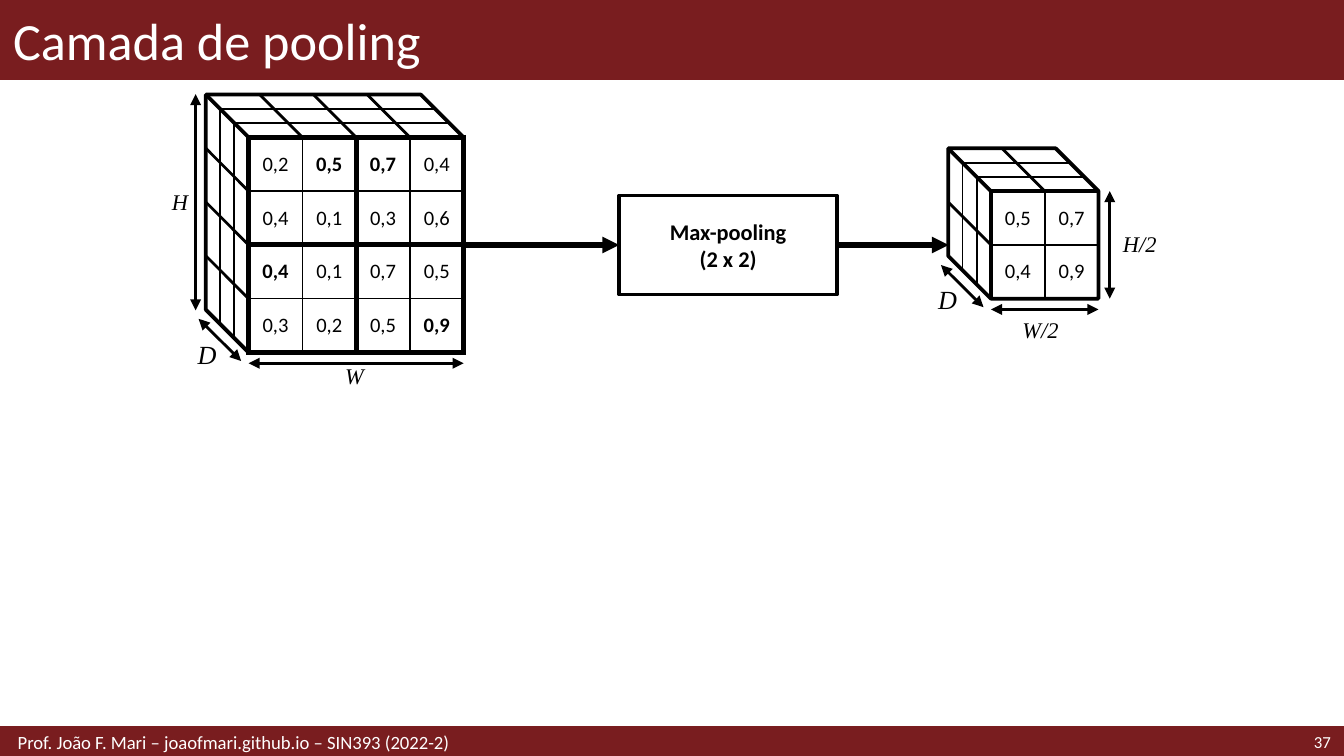
"""Build the slide on the max-pooling layer."""
from lxml import etree
from pptx import Presentation
from pptx import util as u
from pptx.dml import color
from pptx.enum import shapes, text
from pptx.oxml import ns

Pt = u.Pt
RED = color.RGBColor(0x79, 0x1D, 0x1F)
BLACK = color.RGBColor(0, 0, 0)
WHITE = color.RGBColor(255, 255, 255)
LEFT, MID, RIGHT = text.PP_ALIGN.LEFT, text.PP_ALIGN.CENTER, text.PP_ALIGN.RIGHT
TOP, CENTER = text.MSO_ANCHOR.TOP, text.MSO_ANCHOR.MIDDLE
CELL, DEPTH = 28.8, 22.9

deck = Presentation()
deck.slide_width, deck.slide_height = Pt(720), Pt(405)
slide = deck.slides.add_slide(deck.slide_layouts[6])
draw = slide.shapes


def write(frame, words, size=11, font="Calibri", ink=BLACK, bold=False,
          slant=False, align=LEFT, anchor=CENTER):
    frame.word_wrap = True
    frame.vertical_anchor = anchor
    frame.text = words
    for para in frame.paragraphs:
        para.alignment = align
        face = para.font
        face.name, face.size, face.bold, face.italic = font, Pt(size), bold, slant
        face.color.rgb = ink


def link(x1, y1, x2, y2, width=1.5, ends=()):
    line = draw.add_connector(shapes.MSO_CONNECTOR.STRAIGHT,
                              Pt(x1), Pt(y1), Pt(x2), Pt(y2))
    line.line.color.rgb = BLACK
    line.line.width = Pt(width)
    for end in ends:
        etree.SubElement(line.line._ln, ns.qn("a:" + end), type="triangle")
    etree.SubElement(line._element.spPr, ns.qn("a:effectLst"))
    return line


for y, high, edge in ((0, 42.5, 1), (390.2, 14.8, 2)):
    bar = draw.add_shape(shapes.MSO_SHAPE.RECTANGLE, 0, Pt(y), Pt(720), Pt(high))
    bar.shadow.inherit = False
    bar.fill.solid()
    bar.fill.fore_color.rgb = bar.line.color.rgb = RED
    bar.line.width = Pt(edge)

for x, y, wide, high, words, size, align, pad in (
        (0, 0, 720, 42.5, "Camada de pooling", 28, LEFT, 7.2),
        (638, 389.8, 82, 15, "37", 9, RIGHT, 7.2),
        (0, 390, 496, 15,
         "Prof. João F. Mari – joaofmari.github.io – SIN393 (2022-2)", 10, LEFT, 9.5)):
    note = draw.add_textbox(Pt(x), Pt(y), Pt(wide), Pt(high))
    note.text_frame.margin_left = Pt(pad)
    write(note.text_frame, words, size=size, ink=WHITE, align=align)

INPUT = (("0,2", "0,5", "0,7", "0,4"), ("0,4", "0,1", "0,3", "0,6"),
         ("0,4", "0,1", "0,7", "0,5"), ("0,3", "0,2", "0,5", "0,9"))
OUTPUT = (("0,5", "0,7"), ("0,4", "0,9"))
PEAKS = ((0, 1), (0, 2), (2, 0), (3, 3))
BOTH = ("headEnd", "tailEnd")

for x, y, data, peaks, thick in ((133.2, 73.6, INPUT, PEAKS, 3),
                                 (530.9, 102.4, OUTPUT, (), 1)):
    n = len(data)
    side = n * CELL
    full = side + DEPTH
    grid = draw.add_table(n, n, Pt(x), Pt(y), Pt(side), Pt(side)).table
    grid.first_row = grid.horz_banding = False
    for r, row in enumerate(data):
        grid.rows[r].height = grid.columns[r].width = Pt(CELL)
        for c, value in enumerate(row):
            cell = grid.cell(r, c)
            cell.margin_left = cell.margin_right = Pt(3.6)
            cell.margin_top = cell.margin_bottom = Pt(3.6)
            cell.vertical_anchor = CENTER
            write(cell.text_frame, value, bold=(r, c) in peaks, align=MID)
            cell.fill.background()
            outer = (c % 2 == 0, c % 2 == 1, r % 2 == 0, r % 2 == 1)
            for i, (edge, wide) in enumerate(zip("LRTB", outer)):
                rule = etree.Element(ns.qn("a:ln" + edge),
                                     w=str(Pt(thick if wide else 1)))
                fill = etree.SubElement(rule, ns.qn("a:solidFill"))
                etree.SubElement(fill, ns.qn("a:srgbClr"), val=str(BLACK))
                cell._tc.tcPr.insert(i, rule)

    cube = draw.add_shape(shapes.MSO_SHAPE.CUBE, Pt(x - DEPTH), Pt(y - DEPTH),
                          Pt(full), Pt(full))
    cube.rotation = 270
    cube.adjustments[0] = DEPTH / full
    cube.shadow.inherit = False
    cube.fill.background()
    cube.line.color.rgb = BLACK
    cube.line.width = Pt(2)

    for k in (1, 2):
        left, top = x - k * DEPTH / 3, y - k * DEPTH / 3
        link(left, top, left, top + side, width=1)
        link(left, top, left + side, top, width=1)
    for k in range(1, n):
        step = k * CELL
        link(x, y + step, x - DEPTH, y + step - DEPTH)
        link(x + step, y, x + step - DEPTH, y - DEPTH)

    base = y + side
    link(x - 26.8, base - 18, x - 4, base + 4.6, ends=BOTH)
    link(x, base + 5.8, x + side, base + 5.8, ends=BOTH)

link(104.8, 166.3, 104.8, 50.4, ends=BOTH)
link(594.5, 160, 594.5, 102.4, ends=BOTH)

for x, y, wide, words, size in (
        (177.8, 190.5, 26, "W", 12), (85, 97.2, 22.3, "H", 12),
        (98.8, 177.8, 22.3, "D", 14), (540.7, 165.6, 38.2, "W/2", 12),
        (594.5, 119.5, 41, "H/2", 12), (495.5, 148.3, 22.3, "D", 14)):
    tag = draw.add_textbox(Pt(x), Pt(y), Pt(wide), Pt(size + 10))
    write(tag.text_frame, words, size=size, font="Times New Roman",
          slant=True, anchor=TOP)

box = draw.add_shape(shapes.MSO_SHAPE.RECTANGLE, Pt(331.7), Pt(104.8),
                     Pt(116.8), Pt(53))
box.shadow.inherit = False
box.fill.background()
box.line.color.rgb = BLACK
box.line.width = Pt(2)
write(box.text_frame, "Max-pooling\n(2 x 2)", size=12, bold=True, align=MID)

link(448.5, 131.3, 508.2, 131.3, width=3, ends=["tailEnd"]).begin_connect(box, 3)
link(248.4, 131.3, 331.7, 131.3, width=3, ends=["tailEnd"]).end_connect(box, 1)

deck.save("out.pptx")
